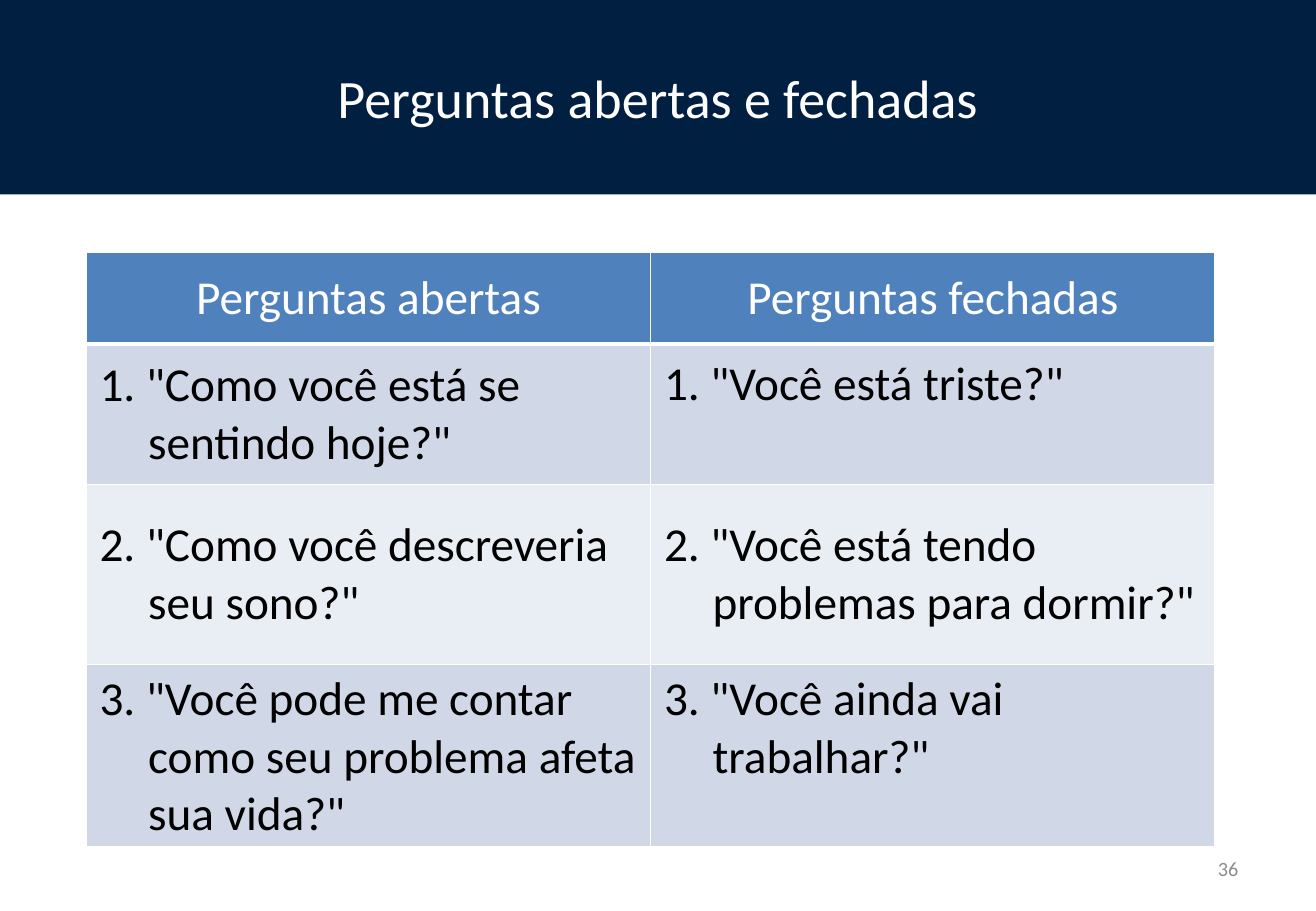
import dataclasses
import typing

import lxml.etree
import pptx
import pptx.dml.color
import pptx.enum.text
import pptx.oxml.ns
import pptx.util

Inches = pptx.util.Inches
Align = pptx.enum.text.PP_ALIGN
Anchor = pptx.enum.text.MSO_ANCHOR

HUES = {"navy": "001F41", "blue": "4F81BD", "band": "D0D8E8", "pale": "E9EDF4",
        "white": "FFFFFF", "black": "000000", "gray": "8C8C8C"}


@dataclasses.dataclass
class Entry:
    text: str
    anchor: Anchor = Anchor.MIDDLE
    top: float = 0.05


@dataclasses.dataclass
class Row:
    height: float
    fill: str
    cells: tuple[Entry, Entry]
    head: bool = False


ROWS = [
    Row(0.75, "blue", (Entry("Perguntas abertas"), Entry("Perguntas fechadas")), True),
    Row(1.16, "band", (Entry('1. "Como você está se sentindo hoje?"'),
                       Entry('1. "Você está triste?"', Anchor.TOP, 0.1))),
    Row(1.48, "pale", (Entry('2. "Como você descreveria seu sono?"'),
                       Entry('2. "Você está tendo problemas para dormir?"'))),
    Row(1.48, "band", (Entry('3. "Você pode me contar como seu problema afeta sua vida?"'),
                       Entry('3. "Você ainda vai trabalhar?"', Anchor.TOP))),
]


def hue(name: str) -> pptx.dml.color.RGBColor:
    return pptx.dml.color.RGBColor.from_string(HUES[name])


def apply(item: typing.Any, format: dict[str, typing.Any]) -> None:
    for name, value in format.items():
        setattr(item, name, value)


def write(frame: typing.Any, text: str, size: int, color: str, align: Align) -> typing.Any:
    """Fill a text frame with one line of styled text."""
    frame.text = text
    line = frame.paragraphs[0]
    line.alignment = align
    font = line.runs[0].font
    apply(font, {"name": "Calibri", "size": pptx.util.Pt(size), "bold": False})
    font.color.rgb = hue(color)
    return line


def edge(cell: typing.Any, side: str, width: int) -> None:
    """Add a white border to one side of a cell."""
    qn = pptx.oxml.ns.qn
    line = lxml.etree.SubElement(cell._tc.get_or_add_tcPr(), qn(f"a:ln{side}"),
                                 w=str(pptx.util.Pt(width)))
    fill = lxml.etree.SubElement(line, qn("a:solidFill"))
    lxml.etree.SubElement(fill, qn("a:srgbClr"), val=HUES["white"])


def draw_cell(cell: typing.Any, entry: Entry, row: Row, under: bool) -> None:
    for side in "LRTB":
        thick = (side == "B" and row.head) or (side == "T" and under)
        edge(cell, side, 3 if thick else 1)
    cell.fill.solid()
    cell.fill.fore_color.rgb = hue(row.fill)
    apply(cell, {"vertical_anchor": entry.anchor,
                 "margin_left": Inches(0.11), "margin_right": Inches(0.11),
                 "margin_top": Inches(entry.top), "margin_bottom": Inches(0.05)})
    line = write(cell.text_frame, entry.text, 28, "white" if row.head else "black",
                 Align.CENTER if row.head else Align.LEFT)
    if not row.head:
        props = line._p.get_or_add_pPr()
        props.set("marL", str(Inches(0.4)))
        props.set("indent", str(Inches(-0.4)))


def main() -> None:
    deck = pptx.Presentation()
    apply(deck, {"slide_width": Inches(10.83), "slide_height": Inches(7.5)})
    slide = deck.slides.add_slide(deck.slide_layouts[5])

    # Title band
    title = slide.shapes.title
    apply(title, {"left": 0, "top": 0, "width": deck.slide_width, "height": Inches(1.6)})
    title.fill.solid()
    title.fill.fore_color.rgb = hue("navy")
    title.text_frame.vertical_anchor = Anchor.MIDDLE
    write(title.text_frame, "Perguntas abertas e fechadas", 32, "white", Align.CENTER)

    # Page number
    page = slide.shapes.add_textbox(Inches(7.76), Inches(6.95), Inches(2.53), Inches(0.4))
    apply(page.text_frame, {"word_wrap": True, "vertical_anchor": Anchor.MIDDLE})
    write(page.text_frame, "36", 12, "gray", Align.RIGHT)

    # Table of open and closed questions
    height = sum(row.height for row in ROWS)
    table = slide.shapes.add_table(len(ROWS), 2, Inches(0.71), Inches(2.08),
                                   Inches(9.29), Inches(height)).table
    table.horz_banding = False
    for r, row in enumerate(ROWS):
        table.rows[r].height = Inches(row.height)
        for c, entry in enumerate(row.cells):
            draw_cell(table.cell(r, c), entry, row, r == 1)

    deck.save("out.pptx")


if __name__ == "__main__":
    main()
